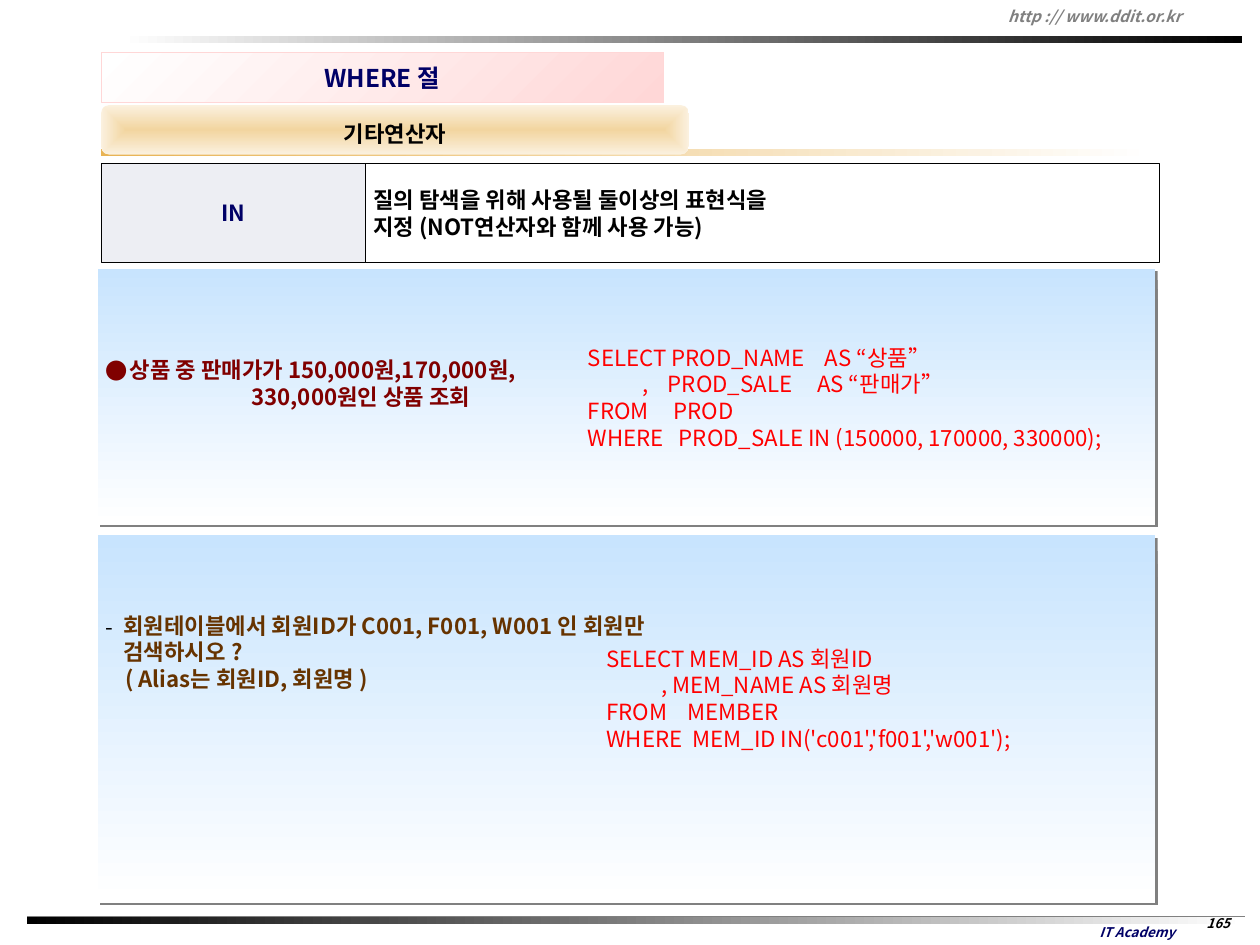
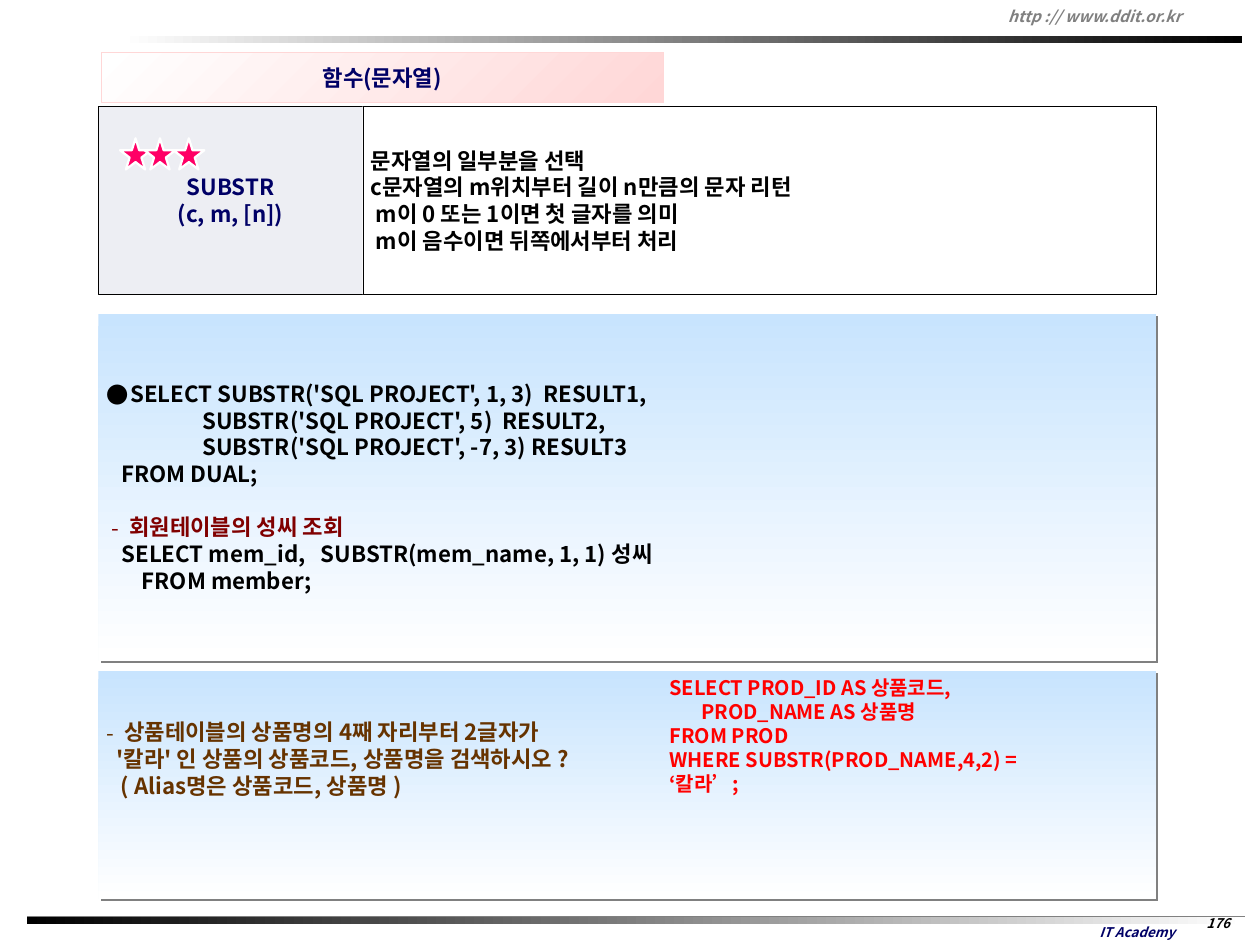
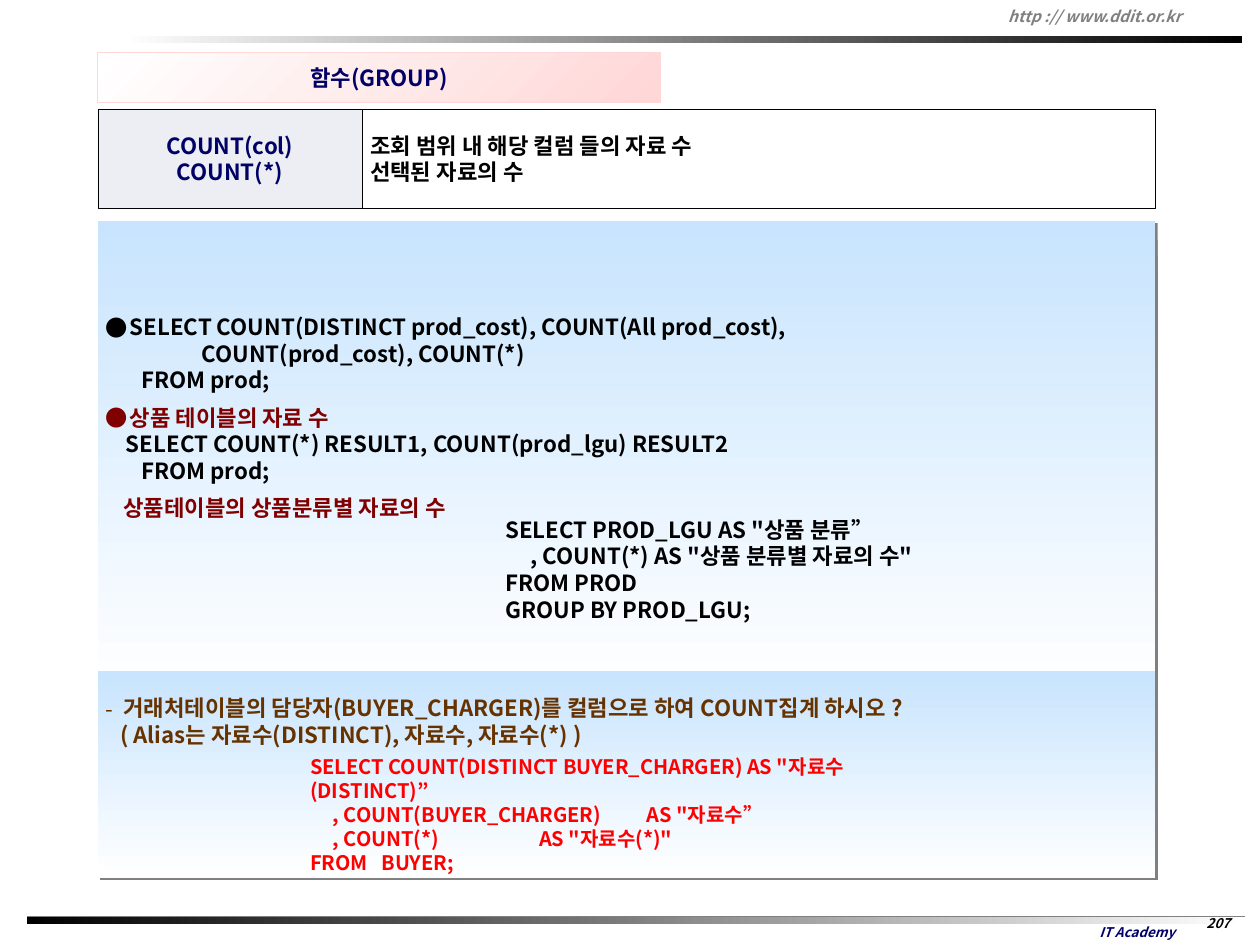
from dataclasses import dataclass
from typing import Optional

from lxml.etree import SubElement
from pptx import Presentation
from pptx.dml.color import RGBColor
from pptx.enum.shapes import MSO_CONNECTOR, MSO_SHAPE
from pptx.enum.text import MSO_ANCHOR, MSO_AUTO_SIZE, PP_ALIGN
from pptx.oxml.ns import qn
from pptx.util import Pt

FONT = "Noto Sans CJK KR"
BLACK = RGBColor(0x00, 0x00, 0x00)
WHITE = RGBColor(0xFF, 0xFF, 0xFF)
GRAY = RGBColor(0x80, 0x80, 0x80)
NAVY = RGBColor(0x00, 0x00, 0x66)
MAROON = RGBColor(0x80, 0x00, 0x00)
BROWN = RGBColor(0x66, 0x33, 0x00)
RED = RGBColor(0xFF, 0x00, 0x00)
STAR_PINK = RGBColor(0xFF, 0x00, 0x66)
TITLE_PINK = RGBColor(0xFF, 0xD7, 0xD7)
PANEL_BLUE = RGBColor(0xC8, 0xE4, 0xFE)
TERM_GRAY = RGBColor(0xED, 0xEE, 0xF3)
GOLD = RGBColor(0xE8, 0xB3, 0x54)
SAND = RGBColor(0xF2, 0xD5, 0xA0)
CREAM = RGBColor(0xFB, 0xF1, 0xDF)

SIDE_INSET = 7.2
HANGING = {"": 0, "●": 21.5, "-": 16}


@dataclass
class Line:
    text: str
    color: Optional[RGBColor] = None
    bullet: str = ""
    bullet_color: Optional[RGBColor] = None
    margin: float = 0
    gap: float = 0
    tab: float = 0


def format_paragraph(paragraph, line):
    """Set the indents, bullet, tab stop and gap above."""
    properties = paragraph._p.get_or_add_pPr()
    hanging = HANGING[line.bullet]
    properties.set("marL", str(Pt(line.margin + hanging)))
    properties.set("indent", str(-Pt(hanging)))
    if line.bullet:
        if line.bullet_color is not None:
            color = SubElement(properties, qn("a:buClr"))
            SubElement(color, qn("a:srgbClr"), val=str(line.bullet_color))
        SubElement(properties, qn("a:buFont"), typeface=FONT)
        SubElement(properties, qn("a:buChar"), char=line.bullet)
    else:
        SubElement(properties, qn("a:buNone"))
    if line.tab:
        stops = SubElement(properties, qn("a:tabLst"))
        SubElement(stops, qn("a:tab"), pos=str(Pt(line.tab)), algn="l")
    paragraph.space_before = Pt(line.gap)
    paragraph.space_after = Pt(0)


def write(shape, lines, size=20, color=BLACK, bold=True, italic=False,
          align=PP_ALIGN.LEFT, anchor=MSO_ANCHOR.MIDDLE, text_top=3.6,
          spacing=1.0, wrap=True):
    frame = shape.text_frame
    frame.word_wrap = wrap
    frame.auto_size = MSO_AUTO_SIZE.NONE
    frame.vertical_anchor = anchor
    frame.margin_left = frame.margin_right = Pt(SIDE_INSET)
    frame.margin_top, frame.margin_bottom = Pt(text_top), Pt(3.6)
    for index, line in enumerate(lines):
        if isinstance(line, str):
            line = Line(line)
        paragraph = frame.add_paragraph() if index else frame.paragraphs[0]
        format_paragraph(paragraph, line)
        paragraph.alignment = align
        paragraph.line_spacing = spacing
        run = paragraph.add_run()
        run.text = line.text
        font = run.font
        font.size, font.bold, font.italic = Pt(size), bold, italic
        font.color.rgb = color if line.color is None else line.color
        font.name = FONT
        SubElement(run._r.get_or_add_rPr(), qn("a:ea"), typeface=FONT)


def place(shape, left, top, width, height):
    shape.left, shape.top = Pt(left), Pt(top)
    shape.width, shape.height = Pt(width), Pt(height)


def outline(shape, color=None, width=0.25):
    if color is None:
        shape.line.fill.background()
    else:
        shape.line.color.rgb = color
        shape.line.width = Pt(width)


def fill_gradient(shape, start, end, clockwise=0):
    shape.fill.gradient()
    shape.fill.gradient_angle = 360 - clockwise
    for stop, color in zip(shape.fill.gradient_stops, (start, end)):
        stop.color.rgb = color


def spread_from_center(shape):
    """Turn the linear gradient into one that follows the shape's outline."""
    gradient = shape.element.spPr.find(qn("a:gradFill"))
    gradient.remove(gradient.find(qn("a:lin")))
    spread = SubElement(gradient, qn("a:path"), path="shape")
    SubElement(spread, qn("a:fillToRect"),
               l="50000", t="50000", r="50000", b="50000")


def add_box(slide, bounds, fill=None, preset=MSO_SHAPE.RECTANGLE):
    box = slide.shapes.add_shape(preset, *map(Pt, bounds))
    box.shadow.inherit = False
    outline(box)
    if fill is not None:
        box.fill.solid()
        box.fill.fore_color.rgb = fill
    return box


def add_text(slide, bounds, lines, **text_format):
    box = slide.shapes.add_textbox(*map(Pt, bounds))
    write(box, lines, **text_format)
    return box


def add_band(slide, bounds, start, end):
    band = add_box(slide, bounds)
    fill_gradient(band, start, end)
    return band


def build_frame(layout, slide):
    """Draw the bands and captions and hand them over to the layout."""
    for placeholder in list(layout.placeholders):
        if placeholder.placeholder_format.idx >= 10:
            placeholder.element.getparent().remove(placeholder.element)
    rule = slide.shapes.add_connector(
        MSO_CONNECTOR.STRAIGHT, Pt(24.5), Pt(825), Pt(1120.5), Pt(825))
    outline(rule, GRAY, 1.5)
    SubElement(rule.element.spPr, qn("a:effectLst"))
    parts = [
        rule,
        add_band(slide, (24.5, 825, 1096, 6.5), BLACK, WHITE),
        add_text(slide, (955, 826.5, 137, 24), ["IT Academy"], size=12,
                 color=NAVY, italic=True, align=PP_ALIGN.CENTER),
        add_band(slide, (109.5, 32.5, 1008, 6.5), WHITE, BLACK),
        add_text(slide, (900, 1.5, 231, 27), ["http :// www.ddit.or.kr"],
                 size=14, color=GRAY, italic=True),
    ]
    for part in parts:
        layout.shapes.element.append(part.element)


def add_heading(slide, text, page, left, size=20):
    title = slide.shapes.title
    place(title, left, 47.5, 506, 44.6)
    fill_gradient(title, WHITE, TITLE_PINK, 45)
    outline(title, TITLE_PINK, 0.75)
    write(title, [text], size=size, color=NAVY, align=PP_ALIGN.CENTER)
    add_text(slide, (1086.5, 820, 20, 22), [page], size=12, italic=True,
             align=PP_ALIGN.CENTER, anchor=MSO_ANCHOR.TOP, wrap=False)


def add_definition(slide, left, top, height, term, meaning):
    term_box = add_box(slide, (left, top, 238, height), TERM_GRAY)
    write(term_box, term, color=NAVY, align=PP_ALIGN.CENTER)
    meaning_box = add_box(slide, (left + 238, top, 714, height), WHITE)
    write(meaning_box, meaning)
    for box in (term_box, meaning_box):
        outline(box, BLACK)


def fill_panel(panel, left, top, height, lines, text_top, color=BLACK):
    """Make a body placeholder a blue panel with a hard shadow."""
    place(panel, left, top, 952, height)
    fill_gradient(panel, PANEL_BLUE, WHITE, 90)
    outline(panel)
    panel.shadow.inherit = False
    effects = panel.element.spPr.find(qn("a:effectLst"))
    shadow = SubElement(effects, qn("a:outerShdw"), dist=str(Pt(2.8)),
                        dir="2700000", algn="ctr", rotWithShape="0")
    SubElement(shadow, qn("a:srgbClr"), val=str(GRAY))
    write(panel, lines, color=color, anchor=MSO_ANCHOR.TOP, text_top=text_top)


def add_answer(slide, bounds, lines, **text_format):
    add_text(slide, bounds, lines, anchor=MSO_ANCHOR.TOP,
             **{"color": RED, **text_format})


def build_in_slide(slide):
    add_heading(slide, "WHERE 절", "165", 91, size=22)
    add_band(slide, (91, 134, 945, 6.5), GOLD, WHITE)
    subtitle = add_box(slide, (91, 94.5, 529, 44.6),
                       preset=MSO_SHAPE.ROUNDED_RECTANGLE)
    fill_gradient(subtitle, SAND, CREAM)
    spread_from_center(subtitle)
    write(subtitle, ["기타연산자"], align=PP_ALIGN.CENTER, spacing=1.3)
    add_definition(slide, 91, 147, 89.3, ["IN"], [
        "질의 탐색을 위해 사용될 둘이상의 표현식을",
        "지정 (NOT연산자와 함께 사용 가능)",
    ])
    fill_panel(slide.placeholders[1], 88, 242, 230.4, [
        Line("상품 중 판매가가 150,000원,170,000원,", bullet="●"),
        Line("330,000원인 상품 조회", margin=131),
    ], 79, MAROON)
    fill_panel(slide.placeholders[2], 88, 481.7, 330.5, [
        Line("회원테이블에서 회원ID가 C001, F001, W001 인 회원만",
             bullet="-", bullet_color=BLACK),
        Line("검색하시오 ?", margin=16),
        Line("( Alias는 회원ID, 회원명 )", margin=17.5),
    ], 69, BROWN)
    add_answer(slide, (522, 306, 512.6, 128), [
        "SELECT PROD_NAME    AS “상품”",
        Line("           ,\tPROD_SALE     AS “판매가”", tab=66),
        "FROM     PROD",
        "WHERE   PROD_SALE IN (150000, 170000, 330000);",
    ], bold=False)
    add_answer(slide, (538.6, 576.7, 409, 104), [
        "SELECT MEM_ID AS 회원ID",
        "           , MEM_NAME AS 회원명",
        "FROM    MEMBER",
        "WHERE  MEM_ID IN('c001','f001','w001');",
    ], bold=False)


def build_substr_slide(slide):
    add_heading(slide, "함수(문자열)", "176", 91)
    add_definition(slide, 88.5, 95.5, 169.5, ["SUBSTR", "(c, m, [n])"], [
        "문자열의 일부분을 선택",
        "c문자열의 m위치부터 길이 n만큼의 문자 리턴",
        Line("m이 0 또는 1이면 첫 글자를 의미", margin=4.5),
        Line("m이 음수이면 뒤쪽에서부터 처리", margin=4.5),
    ])
    fill_panel(slide.placeholders[1], 88.5, 282.2, 312.5, [
        Line("SELECT SUBSTR('SQL PROJECT', 1, 3)  RESULT1,", bullet="●"),
        "                   SUBSTR('SQL PROJECT', 5)  RESULT2,",
        "                   SUBSTR('SQL PROJECT', -7, 3) RESULT3",
        "   FROM DUAL;",
        Line("회원테이블의 성씨 조회", MAROON, "-", margin=4.5, gap=24),
        "   SELECT mem_id,   SUBSTR(mem_name, 1, 1) 성씨",
        "       FROM member;",
    ], 60)
    fill_panel(slide.placeholders[2], 88.5, 604, 205.2, [
        Line("상품테이블의 상품명의 4째 자리부터 2글자가", bullet="-"),
        Line("'칼라' 인 상품의 상품코드, 상품명을 검색하시오 ?", margin=9),
        Line("( Alias명은 상품코드, 상품명 )", margin=13),
    ], 42.5, BROWN)
    add_answer(slide, (595.4, 604, 365, 94), [
        "SELECT PROD_ID AS 상품코드,",
        "       PROD_NAME AS 상품명",
        "FROM PROD",
        "WHERE SUBSTR(PROD_NAME,4,2) = ‘칼라’;",
    ], size=18)
    for left in (108, 130, 156):
        star = add_box(slide, (left, 124.5, 28, 28), STAR_PINK,
                       MSO_SHAPE.STAR_5_POINT)
        outline(star, WHITE, 2)


def build_count_slide(slide):
    add_heading(slide, "함수(GROUP)", "207", 88)
    add_definition(slide, 88, 98, 89.3, ["COUNT(col)", "COUNT(*)"], [
        "조회 범위 내 해당 컬럼 들의 자료 수",
        "선택된 자료의 수",
    ])
    fill_panel(slide.placeholders[1], 88, 198.7, 425.5, [
        Line("SELECT COUNT(DISTINCT prod_cost), COUNT(All prod_cost),",
             bullet="●"),
        "                   COUNT(prod_cost), COUNT(*)",
        "       FROM prod;",
        Line("상품 테이블의 자료 수", MAROON, "●", gap=9.6),
        "    SELECT COUNT(*) RESULT1, COUNT(prod_lgu) RESULT2",
        "       FROM prod;",
        Line("상품테이블의 상품분류별 자료의 수", MAROON, margin=16, gap=9.6),
    ], 83)
    fill_panel(slide.placeholders[2], 88, 604, 185.8, [
        Line("거래처테이블의 담당자(BUYER_CHARGER)를 컬럼으로 하여 "
             "COUNT집계 하시오 ?", bullet="-"),
        Line("( Alias는 자료수(DISTINCT), 자료수, 자료수(*) )", margin=13),
    ], 21, BROWN)
    add_answer(slide, (447.8, 460.8, 456, 104), [
        "SELECT PROD_LGU AS \"상품 분류”",
        "     , COUNT(*) AS \"상품 분류별 자료의 수\"",
        "FROM PROD",
        "GROUP BY PROD_LGU;",
    ], color=BLACK)
    add_answer(slide, (272, 675.4, 544.3, 94), [
        "SELECT COUNT(DISTINCT BUYER_CHARGER) AS \"자료수(DISTINCT)”",
        "     , COUNT(BUYER_CHARGER)          AS \"자료수”",
        "     , COUNT(*)                      AS \"자료수(*)\"",
        "FROM   BUYER;",
    ], size=18)


def main():
    deck = Presentation()
    deck.slide_width, deck.slide_height = Pt(1134), Pt(850.32)
    layout = deck.slide_layouts.get_by_name("Two Content")
    builders = (build_in_slide, build_substr_slide, build_count_slide)
    slides = [deck.slides.add_slide(layout) for _ in builders]
    build_frame(layout, slides[0])
    for build, slide in zip(builders, slides):
        build(slide)
    deck.save("out.pptx")


if __name__ == "__main__":
    main()
